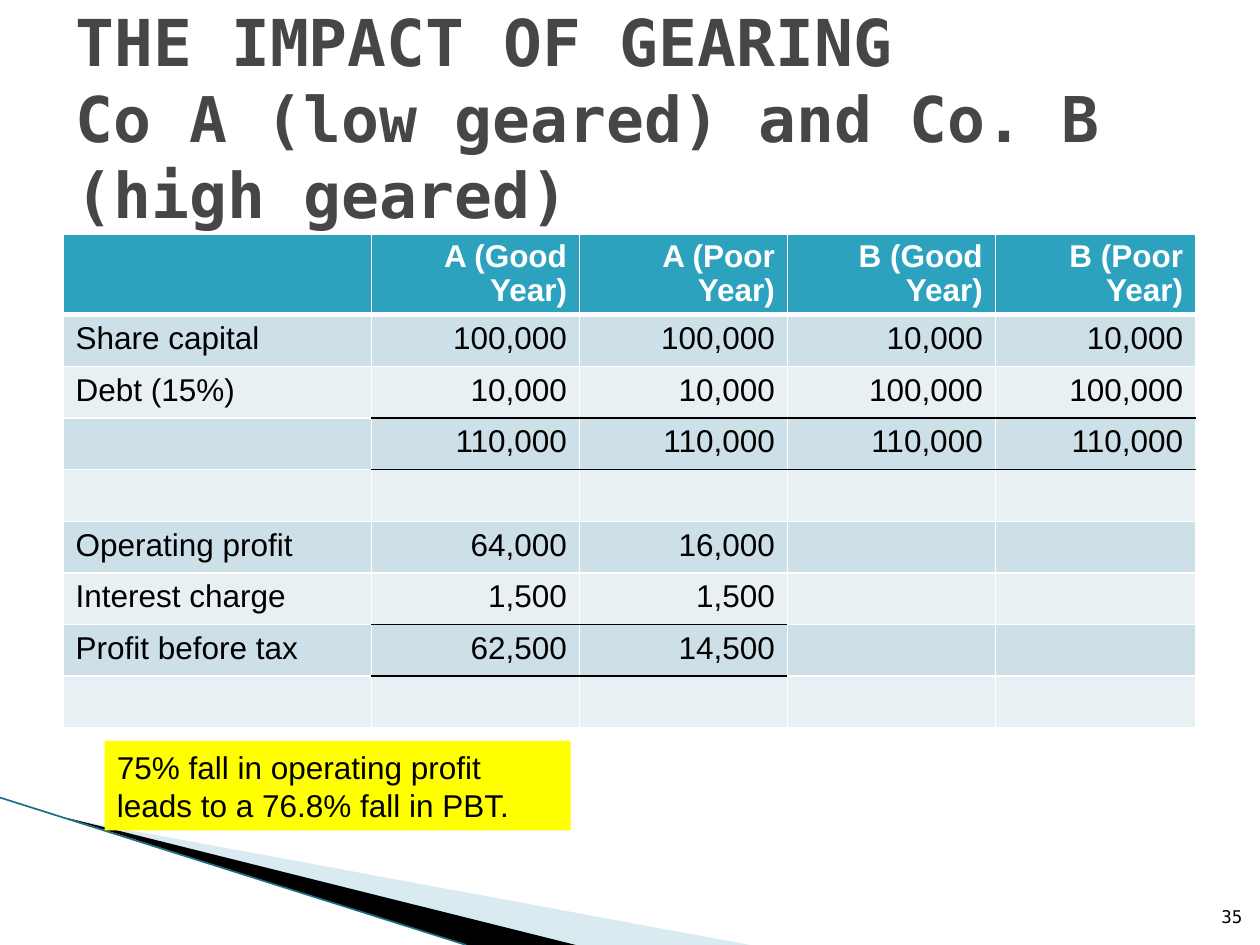
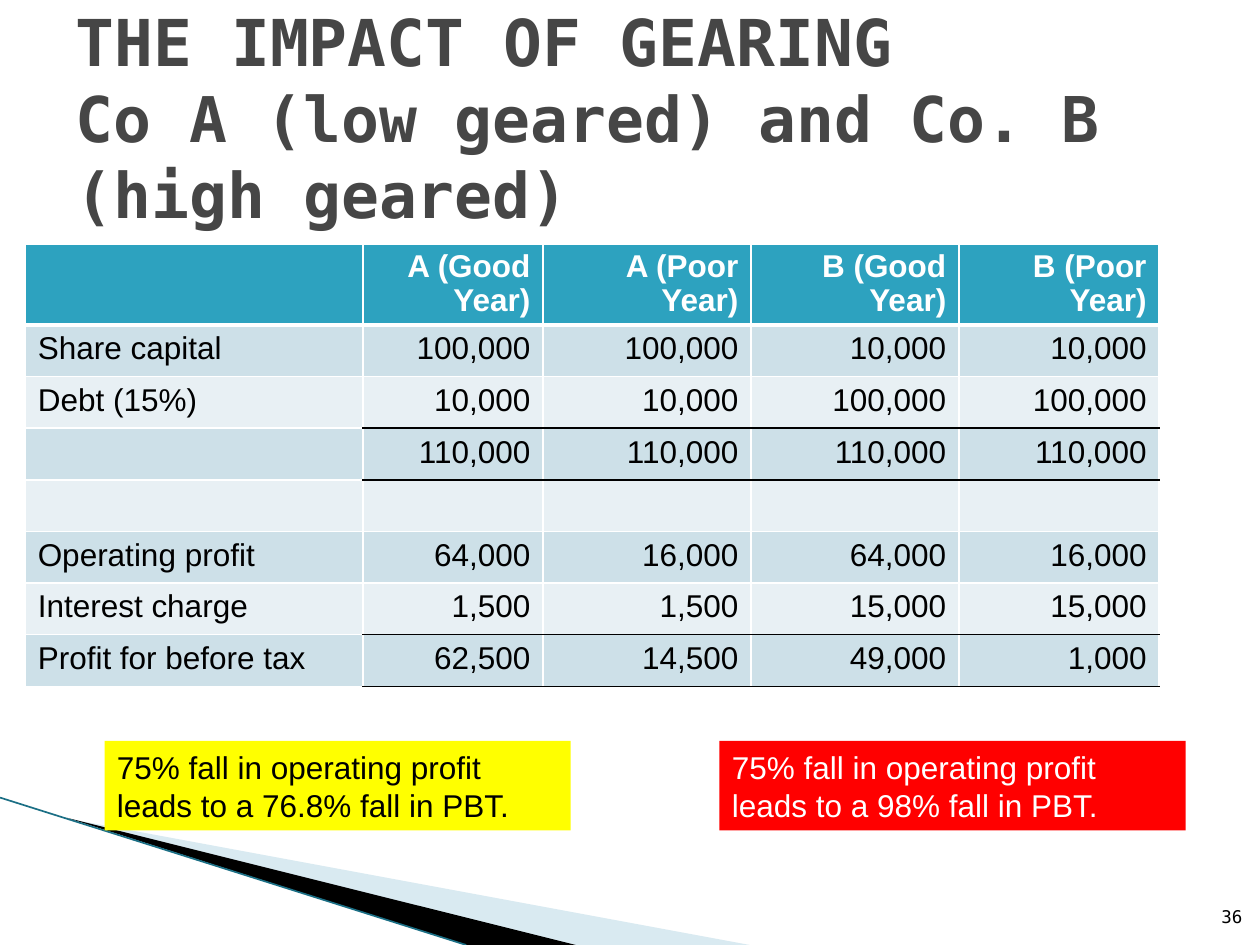
from dataclasses import dataclass

from lxml.etree import SubElement
from pptx import Presentation
from pptx.dml.color import RGBColor
from pptx.enum.shapes import MSO_CONNECTOR, MSO_SHAPE
from pptx.enum.text import MSO_ANCHOR, MSO_AUTO_SIZE, PP_ALIGN
from pptx.oxml.ns import qn
from pptx.util import Inches, Pt


@dataclass(frozen=True)
class Theme:
    sans: str = "Arial"
    mono: str = "DejaVu Sans Mono"
    ink: str = "000000"
    white: str = "FFFFFF"
    title: str = "464646"
    head: str = "2DA2BF"
    bands: tuple = ("CDE0E8", "E8F0F4")
    wedge: str = "A0CBDC"
    edge: str = "1B6F85"
    good: str = "FFFF00"
    bad: str = "FF0000"
    big: float = 36.9
    sub: float = 36
    body: float = 18
    small: float = 10


T = Theme()
WIDE, HIGH = 10, 7.5
ROW = 0.41
RULED = (2, 3, 6, 7)  # rows underlined wherever they hold a figure

TITLE = (("THE IMPACT OF GEARING", T.big),
         ("Co A (low geared) and Co. B (high geared)", T.sub))
HEAD = ["", "A (Good Year)", "A (Poor Year)", "B (Good Year)", "B (Poor Year)"]
FUNDS = [
    ["Share capital", "100,000", "100,000", "10,000", "10,000"],
    ["Debt (15%)", "10,000", "10,000", "100,000", "100,000"],
    [""] + ["110,000"] * 4,
    [""] * 5,
]
NOTE_A = dict(text="75% fall in operating profit leads to a 76.8% fall in PBT.",
              left=0.83, fill=T.good, color=T.ink)
NOTE_B = dict(text="75% fall in operating profit leads to a 98% fall in PBT.",
              left=5.71, fill=T.bad, color=T.white)

SLIDES = [
    dict(page=35, at=(0.5, 1.86), cols=(2.45, 1.65, 1.65, 1.65, 1.59), top=0.62,
         rows=[["Operating profit", "64,000", "16,000", "", ""],
               ["Interest charge", "1,500", "1,500", "", ""],
               ["Profit before tax", "62,500", "14,500", "", ""],
               [""] * 5],
         notes=[NOTE_A]),
    dict(page=36, at=(0.2, 1.94), cols=(2.68, 1.43, 1.65, 1.65, 1.59), top=0.58,
         rows=[["Operating profit", "64,000", "16,000", "64,000", "16,000"],
               ["Interest charge", "1,500", "1,500", "15,000", "15,000"],
               ["Profit for before tax", "62,500", "14,500", "49,000", "1,000"]],
         notes=[NOTE_B, NOTE_A]),
]


def rgb(code):
    return RGBColor.from_string(code)


def box(*sizes):
    return [Inches(size) for size in sizes]


def write(par, text, size=T.body, font=T.sans, color=T.ink, bold=False,
          align=PP_ALIGN.LEFT):
    """Add one formatted run to a paragraph."""
    par.alignment = align
    run = par.add_run()
    run.text = text
    run.font.size, run.font.name, run.font.bold = Pt(size), font, bold
    run.font.color.rgb = rgb(color)


def paint(shape, color):
    shape.shadow.inherit = False
    shape.fill.solid()
    shape.fill.fore_color.rgb = rgb(color)
    shape.line.fill.background()


def wedge(slide, points, color):
    (x, y), *rest = [box(*point) for point in points]
    form = slide.shapes.build_freeform(x, y)
    form.add_line_segments(rest)
    shape = form.convert_to_shape()
    paint(shape, color)
    return shape


def corner(slide):
    """Draw the wedges in the lower left corner."""
    pale = wedge(slide, [(0.55, 6.5), (5.95, HIGH), (4.56, HIGH)], T.wedge)
    tint = pale.fill._xPr.find(".//" + qn("a:srgbClr"))
    SubElement(tint, qn("a:alpha"), val="40000")
    wedge(slide, [(0.53, 6.49), (4.57, HIGH), (3.7, HIGH)], T.ink)
    line = slide.shapes.add_connector(MSO_CONNECTOR.STRAIGHT,
                                      *box(0, 6.33, 3.7, HIGH))
    line.line.color.rgb = rgb(T.edge)
    line.line.width = Pt(0.95)
    SubElement(line._element.spPr, qn("a:effectLst"))


def title(slide):
    shape = slide.shapes.title
    shape.left, shape.top, shape.width, shape.height = box(0.5, 0.3, 9, 1.25)
    frame = shape.text_frame
    frame.auto_size, frame.word_wrap = MSO_AUTO_SIZE.NONE, True
    frame.vertical_anchor = MSO_ANCHOR.MIDDLE
    par = frame.paragraphs[0]
    for i, (text, size) in enumerate(TITLE):
        if i:
            par.add_line_break()
        write(par, text, size=size, font=T.mono, color=T.title, bold=True)


def border(cell, **sides):
    """Set cell borders, each side given as (colour, points)."""
    props = cell._tc.get_or_add_tcPr()
    for i, side in enumerate(("L", "R", "T", "B")):
        color, width = sides.get(side, (T.white, 1))
        line = props.makeelement(qn("a:ln" + side), {"w": str(Pt(width))})
        fill = SubElement(line, qn("a:solidFill"))
        SubElement(fill, qn("a:srgbClr"), val=color)
        props.insert(i, line)


def table(slide, at, cols, top, rows):
    data = [HEAD] + FUNDS + rows
    highs = [top] + [ROW] * (len(data) - 1)
    grid = slide.shapes.add_table(len(data), len(cols),
                                  *box(*at, sum(cols), sum(highs))).table
    for col, wide in zip(grid.columns, cols):
        col.width = Inches(wide)
    for row, high in zip(grid.rows, highs):
        row.height = Inches(high)

    def under(r, c):
        """Border below row r in column c."""
        if r == 0:
            return T.white, 3
        ruled = r in RULED and c > 0 and data[r][c]
        return (T.ink if ruled else T.white), 1

    for r, row in enumerate(data):
        for c, text in enumerate(row):
            cell = grid.cell(r, c)
            cell.fill.solid()
            cell.fill.fore_color.rgb = rgb(T.bands[(r - 1) % 2] if r else T.head)
            over = under(r - 1, c) if r else (T.white, 1)
            border(cell, T=over, B=under(r, c))
            if text:
                par = cell.text_frame.paragraphs[0]
                write(par, text, bold=r == 0, color=T.ink if r else T.white,
                      align=PP_ALIGN.RIGHT if c else PP_ALIGN.LEFT)
                if r == 0:
                    par.line_spacing = 0.96


def note(slide, text, left, fill, color):
    shape = slide.shapes.add_shape(MSO_SHAPE.RECTANGLE,
                                   *box(left, 5.88, 3.7, 0.71))
    paint(shape, fill)
    shape.text_frame.word_wrap = True
    write(shape.text_frame.paragraphs[0], text, color=color)


def number(slide, page):
    frame = slide.shapes.add_textbox(*box(WIDE - 0.54, 7.01, 0.4, 0.4)).text_frame
    frame.word_wrap = True
    frame.vertical_anchor = MSO_ANCHOR.BOTTOM
    frame.margin_left = frame.margin_right = 0
    write(frame.paragraphs[0], str(page), size=T.small, font=T.mono,
          align=PP_ALIGN.RIGHT)


def main():
    deck = Presentation()
    deck.slide_width, deck.slide_height = box(WIDE, HIGH)
    for part in SLIDES:
        slide = deck.slides.add_slide(deck.slide_layouts[5])
        corner(slide)
        title(slide)
        table(slide, part["at"], part["cols"], part["top"], part["rows"])
        number(slide, part["page"])
        for item in part["notes"]:
            note(slide, **item)
    deck.save("out.pptx")


if __name__ == "__main__":
    main()
